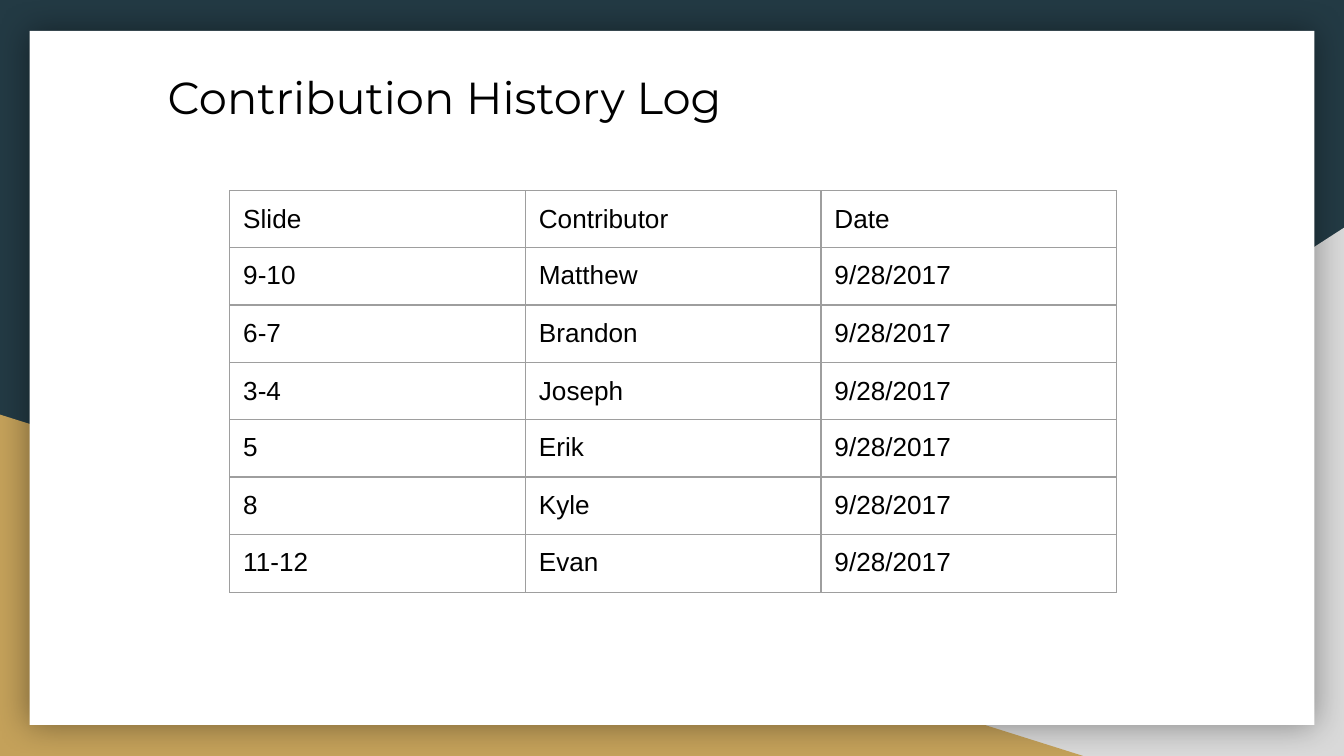
from lxml import etree
from pptx import Presentation
from pptx import util as u
from pptx.dml.color import RGBColor
from pptx.enum import shapes, text
from pptx.oxml import parse_xml
from pptx.oxml.ns import qn

DRAWING_NS = "http://schemas.openxmlformats.org/drawingml/2006/main"
DATE = "9/28/2017"
CONTRIBUTIONS = [
    ("9-10", "Matthew"),
    ("6-7", "Brandon"),
    ("3-4", "Joseph"),
    ("5", "Erik"),
    ("8", "Kyle"),
    ("11-12", "Evan"),
]
LOG = [("Slide", "Contributor", "Date")] + [(*row, DATE) for row in CONTRIBUTIONS]
ROW_HEIGHTS = [0.42, 0.43, 0.43, 0.42, 0.43, 0.43, 0.43]


def colour(value):
    return RGBColor.from_string(value)


def inches(box):
    return [u.Inches(length) for length in box]


def style_text(para, font, size):
    for span in para.runs:
        span.font.name = font
        span.font.size = u.Pt(size)
        span.font.color.rgb = colour("000000")


def set_margins(holder):
    holder.margin_left = holder.margin_right = u.Inches(0.1)
    holder.margin_top = holder.margin_bottom = u.Inches(0.1)


def add_panel(slide, kind, box, fill):
    panel = slide.shapes.add_shape(kind, *inches(box))
    panel.shadow.inherit = False
    panel.fill.solid()
    panel.fill.fore_color.rgb = colour(fill)
    panel.line.fill.background()
    return panel


def add_glow(panel):
    effects = panel._element.spPr.find(qn("a:effectLst"))
    effects.append(parse_xml(
        f'<a:outerShdw xmlns:a="{DRAWING_NS}" blurRad="{u.Pt(18)}" dist="0" dir="0" '
        'algn="ctr" rotWithShape="0"><a:srgbClr val="000000">'
        '<a:alpha val="40000"/></a:srgbClr></a:outerShdw>'))


def add_backdrop(slide, box):
    left, top, width, height = box
    right, bottom = left + width, top + height
    slide.background.fill.solid()
    slide.background.fill.fore_color.rgb = colour("233A44")

    # Corner triangles
    triangle = shapes.MSO_SHAPE.RIGHT_TRIANGLE
    grey = add_panel(slide, triangle, (right - 6.08, bottom - 3.93, 6.08, 3.93), "D9D9D9")
    grey._element.spPr.find(qn("a:xfrm")).set("flipH", "1")
    add_panel(slide, triangle, (left, bottom - 2.54, 8.06, 2.54), "C4A15A")

    # White card
    card_box = (left + 0.22, top + 0.23, width - 0.44, height - 0.46)
    add_glow(add_panel(slide, shapes.MSO_SHAPE.RECTANGLE, card_box, "FFFFFF"))


def add_borders(cell, line_colour, points):
    properties = cell._tc.get_or_add_tcPr()
    for index, side in enumerate(("lnL", "lnR", "lnT", "lnB")):
        border = etree.Element(qn(f"a:{side}"), w=str(u.Pt(points)))
        fill = etree.SubElement(border, qn("a:solidFill"))
        etree.SubElement(fill, qn("a:srgbClr"), val=line_colour)
        properties.insert(index, border)


def add_log_table(slide, box):
    frame = slide.shapes.add_table(len(LOG), len(LOG[0]), *inches(box))
    table = frame.table
    table.first_row = table.horz_banding = False
    for column in table.columns:
        column.width = u.Inches(box[2] / len(LOG[0]))
    for row, height, values in zip(table.rows, ROW_HEIGHTS, LOG):
        row.height = u.Inches(height)
        for cell, value in zip(row.cells, values):
            cell.text = value
            set_margins(cell)
            cell.fill.background()
            add_borders(cell, "9E9E9E", 0.75)
            style_text(cell.text_frame.paragraphs[0], "Arial", 14)


def add_title(slide, box):
    frame = slide.shapes.add_textbox(*inches(box)).text_frame
    frame.word_wrap = True
    frame.vertical_anchor = text.MSO_ANCHOR.TOP
    set_margins(frame)
    frame.text = "Contribution History Log"
    style_text(frame.paragraphs[0], "Montserrat", 24)


def main():
    deck = Presentation()
    deck.slide_width, deck.slide_height = inches((10, 5.625))
    slide = deck.slides.add_slide(deck.slide_layouts[6])
    add_backdrop(slide, (0, 0, 10, 5.625))
    add_log_table(slide, (1.71, 1.42, 6.6, sum(ROW_HEIGHTS)))
    add_title(slide, (1.15, 0.42, 7.7, 1))
    deck.save("out.pptx")


if __name__ == "__main__":
    main()
